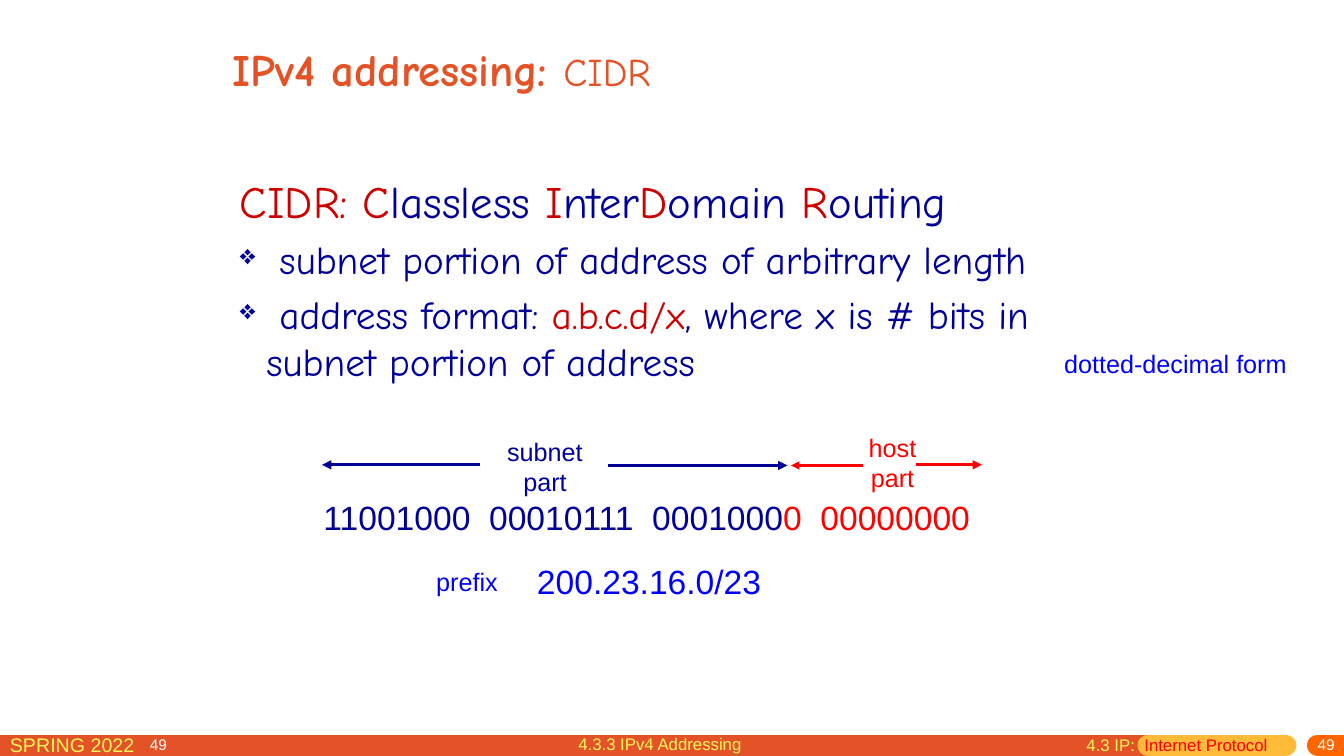
"""Build the slide on IPv4 addressing with CIDR."""
from lxml import etree
from pptx import Presentation
from pptx import util as u
from pptx.dml.color import RGBColor
from pptx.enum import shapes, text
from pptx.oxml import ns

NAVY = RGBColor(0x00, 0x00, 0x99)
BLUE = RGBColor(0x00, 0x00, 0xFF)
RED = RGBColor(0xFF, 0x00, 0x00)
CRIMSON = RGBColor(0xCC, 0x00, 0x00)
ORANGE = RGBColor(0xE4, 0x53, 0x27)
BRIGHT_ORANGE = RGBColor(0xFF, 0x66, 0x00)
AMBER = RGBColor(0xFF, 0xBA, 0x37)
YELLOW = RGBColor(0xFF, 0xF6, 0x5C)
WHITE = RGBColor(0xFF, 0xFF, 0xFF)

LEFT, CENTER, RIGHT = text.PP_ALIGN.LEFT, text.PP_ALIGN.CENTER, text.PP_ALIGN.RIGHT

FOOTER_Y = 532.25
FOOTER_BARS = [(0, 820, ORANGE), (820, 918.5, AMBER), (941, 979, BRIGHT_ORANGE)]

PAGE_NUMBERS = [((774, 527, 186.5, 13), RIGHT), ((100, 527.75, 39.5, 11), LEFT)]

TITLE = [("IPv4 addressing: ", 32, ORANGE, True), ("CIDR", 28, ORANGE, False)]

HEADING = [("CIDR: C", CRIMSON), ("lassless ", NAVY), ("I", CRIMSON), ("nter", NAVY),
           ("D", CRIMSON), ("omain ", NAVY), ("R", CRIMSON), ("outing", NAVY)]
BULLETS = [
    [(" subnet portion of address of arbitrary length", NAVY)],
    [(" address format: ", NAVY), ("a.b.c.d/x", CRIMSON),
     (", where x is # bits in subnet portion of address", NAVY)],
]

LABELS = [
    ((0, 520, 165, 22), 14, LEFT, True, [[("SPRING 2022", YELLOW)]]),
    ((224, 351.5, 482.5, 36), 24, LEFT, False,
     [[("11001000  00010111  0001000", NAVY), ("0  00000000", RED)]]),
    ((355, 308, 68.5, 50.5), 18, CENTER, False, [[("subnet", NAVY)], [("part", NAVY)]]),
    ((612.5, 305.25, 50, 50.5), 18, CENTER, False, [[("host", RED)], [("part", RED)]]),
    ((376.5, 397.25, 175, 36), 24, LEFT, False, [[("200.23.16.0/23", BLUE)]]),
    ((769, 521.25, 158.5, 22), 12, LEFT, True,
     [[("4.3 IP: ", YELLOW), (" Internet Protocol", RED)]]),
    ((406, 520.5, 208, 22), 12, LEFT, True, [[("4.3.3 IPv4 Addressing", YELLOW)]]),
    ((304.5, 401, 62.5, 29), 18, LEFT, True, [[("prefix", BLUE)]]),
    ((753, 245.5, 175, 29), 18, LEFT, False, [[("dotted-decimal form", BLUE)]]),
]

ARROWS = [
    (343, 230, 332, NAVY, 2.25),
    (434, 562.5, 332.5, NAVY, 2.25),
    (616.5, 565, 332.5, RED, 1.5),
    (654.5, 701.5, 332, RED, 2.25),
]


def add_line(slide, start, end, y, color, width):
    line = slide.shapes.add_connector(
        shapes.MSO_CONNECTOR.STRAIGHT, u.Pt(start), u.Pt(y), u.Pt(end), u.Pt(y))
    line.line.color.rgb = color
    line.line.width = u.Pt(width)
    etree.SubElement(line._element.spPr, ns.qn("a:effectLst"))
    return line.line._get_or_add_ln()


def add_box(slide, place, wrap=True, anchor=text.MSO_ANCHOR.TOP):
    frame = slide.shapes.add_textbox(*map(u.Pt, place)).text_frame
    frame.word_wrap = wrap
    frame.vertical_anchor = anchor
    if not wrap:
        frame.auto_size = text.MSO_AUTO_SIZE.SHAPE_TO_FIT_TEXT
    return frame


def add_runs(paragraph, pieces, font_name="Arial"):
    for words, size, color, bold in pieces:
        run = paragraph.add_run()
        run.text = words
        run.font.name = font_name
        run.font.size = u.Pt(size)
        run.font.color.rgb = color
        run.font.bold = bold


def sized(pieces, size):
    return [(words, size, color, False) for words, color in pieces]


def set_bullet(paragraph):
    paragraph.level = 1
    properties = paragraph._p.get_or_add_pPr()
    indent = u.Pt(19)
    properties.set("marL", str(indent))
    properties.set("indent", str(-indent))
    etree.SubElement(properties, ns.qn("a:buSzPct"), val="70000")
    etree.SubElement(properties, ns.qn("a:buChar"), char="❖")
    paragraph.space_before = u.Pt(5.6)


def add_footer(slide):
    for start, end, color in FOOTER_BARS:
        add_line(slide, start, end, FOOTER_Y, color, 15).set("cap", "rnd")
    for place, align in PAGE_NUMBERS:
        frame = add_box(slide, place, anchor=text.MSO_ANCHOR.MIDDLE)
        frame.margin_top, frame.margin_bottom = 0, u.Pt(3.6)
        frame.paragraphs[0].alignment = align
        add_runs(frame.paragraphs[0], sized([("49", WHITE)], 11))


def add_body(slide):
    title = add_box(slide, (159.25, 15.5, 612, 67), anchor=text.MSO_ANCHOR.MIDDLE)
    add_runs(title.paragraphs[0], TITLE, "Comic Neue")
    body = add_box(slide, (164.25, 120.25, 638.5, 250))
    add_runs(body.paragraphs[0], sized(HEADING, 32), "Comic Neue")
    for pieces in BULLETS:
        paragraph = body.add_paragraph()
        set_bullet(paragraph)
        add_runs(paragraph, sized(pieces, 28), "Comic Neue")


def add_labels(slide):
    for place, size, align, wrap, rows in LABELS:
        frame = add_box(slide, place, wrap)
        for index, pieces in enumerate(rows):
            paragraph = frame.add_paragraph() if index else frame.paragraphs[0]
            paragraph.alignment = align
            add_runs(paragraph, sized(pieces, size))


def main():
    deck = Presentation()
    deck.slide_width, deck.slide_height = u.Pt(960), u.Pt(540)
    slide = deck.slides.add_slide(deck.slide_layouts[6])
    add_footer(slide)
    add_body(slide)
    for arrow in ARROWS:
        etree.SubElement(add_line(slide, *arrow), ns.qn("a:tailEnd"), type="triangle")
    add_labels(slide)
    deck.save("out.pptx")


if __name__ == "__main__":
    main()
